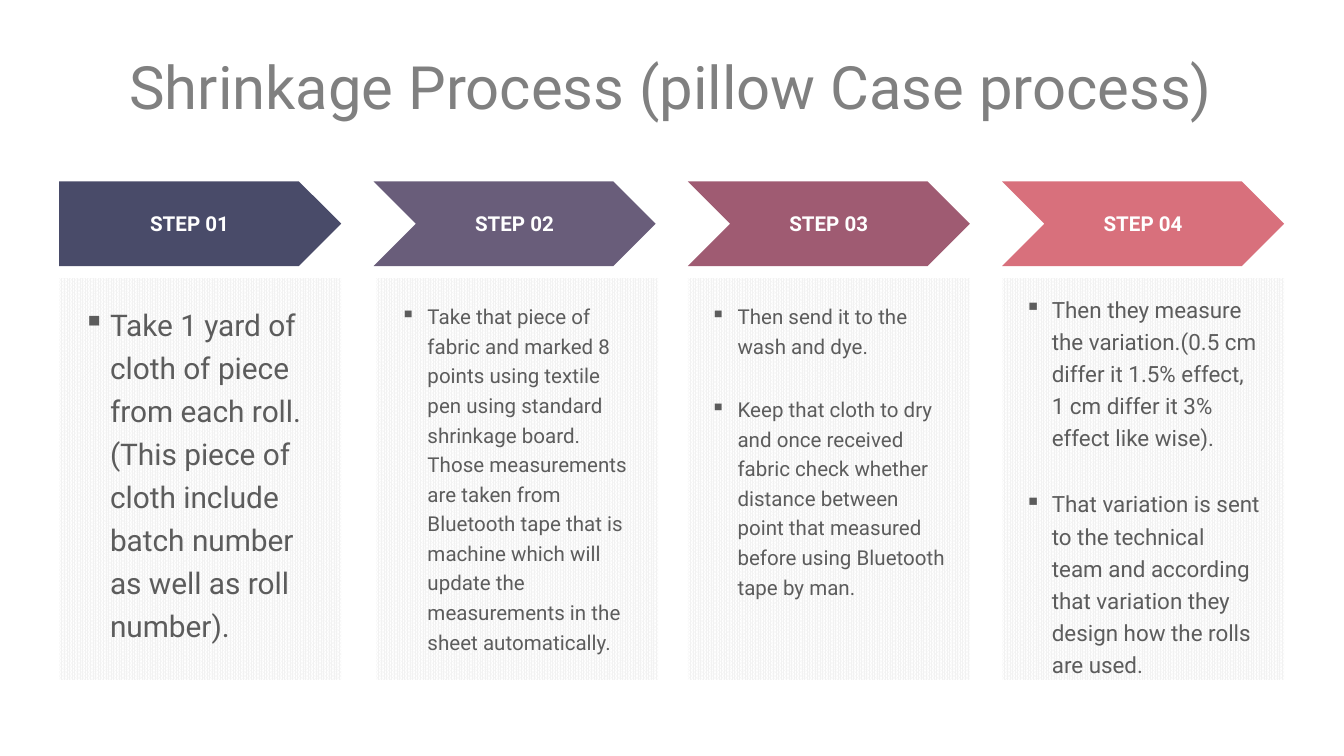
from lxml.etree import SubElement
from pptx import Presentation
from pptx.dml.color import RGBColor
from pptx.enum.dml import MSO_PATTERN
from pptx.enum.shapes import MSO_SHAPE
from pptx.enum.text import MSO_ANCHOR, PP_ALIGN
from pptx.oxml.ns import qn
from pptx.util import Cm, Pt

RECT = MSO_SHAPE.RECTANGLE
PLATE = MSO_SHAPE.PENTAGON
NOTCH = MSO_SHAPE.NOTCHED_RIGHT_ARROW
DOTS = MSO_PATTERN.PERCENT_90
MID = MSO_ANCHOR.MIDDLE
TOP = MSO_ANCHOR.TOP
LEFT = PP_ALIGN.LEFT
CENTER = PP_ALIGN.CENTER

HUES = {
    "title": "808080", "body": "5C5C5C", "white": "FFFFFF", "panel": "F2F2F2",
    "navy": "494B69", "plum": "695D7A", "wine": "9F5B72", "coral": "D8707C",
}

STEPS = [
    {"hue": "navy", "kind": PLATE, "size": 16, "shift": 0, "inset": 0.45, "top": 5.66, "high": 6.5,
     "lines": ["Take 1 yard of cloth of piece from each roll. (This piece of cloth "
               "include batch number as well as roll number)."]},
    {"hue": "plum", "kind": NOTCH, "size": 11, "shift": 0.05, "inset": 0.51, "top": 5.66, "high": 6.73,
     "lines": ["Take that piece of fabric and marked 8 points using textile pen using "
               "standard shrinkage board. Those measurements are taken from Bluetooth "
               "tape that is machine which will update the measurements in the sheet "
               "automatically."]},
    {"hue": "wine", "kind": NOTCH, "size": 11, "shift": 0, "inset": 0.43, "top": 5.66, "high": 5.66,
     "lines": ["Then send it to the wash and dye.",
               "Keep that cloth to dry and once received fabric check whether distance "
               "between point that measured before using Bluetooth tape by man."]},
    {"hue": "coral", "kind": NOTCH, "size": 12, "shift": 0, "inset": 0.43, "top": 5.49, "high": 7.37,
     "lines": ["Then they measure the variation.(0.5 cm differ it 1.5% effect, 1 cm "
               "differ it 3% effect like wise).",
               "That variation is sent to the technical team and according that "
               "variation they design how the rolls are used."]},
]


def color(name):
    return RGBColor.from_string(HUES[name])


def write(frame, lines, font="Roboto", size=11, hue="body", bold=False,
          align=LEFT, anchor=TOP, list_mark=None):
    frame.word_wrap = True
    frame.vertical_anchor = anchor
    for i, line in enumerate(lines):
        para = frame.paragraphs[0] if i == 0 else frame.add_paragraph()
        para.alignment = align
        run = para.add_run()
        run.text = line
        run.font.name = font
        run.font.size = Pt(size)
        run.font.bold = bold
        run.font.color.rgb = color(hue)
        if list_mark:
            para.line_spacing = 1.2
            para.space_after = Pt(18)
            props = para._p.get_or_add_pPr()
            props.set("marL", str(Cm(0.51)))
            props.set("indent", str(-Cm(0.51)))
            SubElement(props, qn("a:buChar"), char=list_mark)


class Deck:
    def __init__(self, wide, high):
        self.show = Presentation()
        self.show.slide_width = Cm(wide)
        self.show.slide_height = Cm(high)
        self.slide = self.show.slides.add_slide(self.show.slide_layouts[6])

    def shape(self, kind, x, y, w, h):
        item = self.slide.shapes.add_shape(kind, Cm(x), Cm(y), Cm(w), Cm(h))
        item.shadow.inherit = False
        item.line.fill.background()
        return item

    def panel(self, x, y, w, h):
        fill = self.shape(RECT, x, y, w, h).fill
        fill.patterned()
        fill.pattern = DOTS
        fill.fore_color.rgb = color("panel")
        fill.back_color.rgb = color("white")

    def arrow(self, kind, label, hue, x, y, w, h):
        item = self.shape(kind, x, y, w, h)
        if kind == NOTCH:
            item.adjustments[0] = 1
            item.adjustments[1] = 0.5
        item.fill.solid()
        item.fill.fore_color.rgb = color(hue)
        write(item.text_frame, [label], hue="white", bold=True, align=CENTER, anchor=MID)

    def text(self, lines, x, y, w, h, **style):
        frame = self.slide.shapes.add_textbox(Cm(x), Cm(y), Cm(w), Cm(h)).text_frame
        frame.margin_left = frame.margin_right = 0
        frame.margin_top = frame.margin_bottom = 0
        write(frame, lines, **style)


def main():
    deck = Deck(25.4, 14.29)
    deck.text(["Shrinkage Process (pillow Case process)"], 1.07, 0.94, 23.24, 1.37,
              size=32, hue="title", align=CENTER, anchor=MID)
    left, pitch, wide = 1.12, 5.94, 5.33
    for i, step in enumerate(STEPS):
        x = left + i * pitch
        deck.panel(x + step["shift"], 5.26, wide, 7.59)
        deck.arrow(step["kind"], f"STEP {i + 1:02}", step["hue"], x, 3.43, wide, 1.6)
        deck.text(step["lines"], x + step["inset"], step["top"], 4.45, step["high"],
                  size=step["size"], list_mark="▪")
    deck.show.save("out.pptx")


if __name__ == "__main__":
    main()
